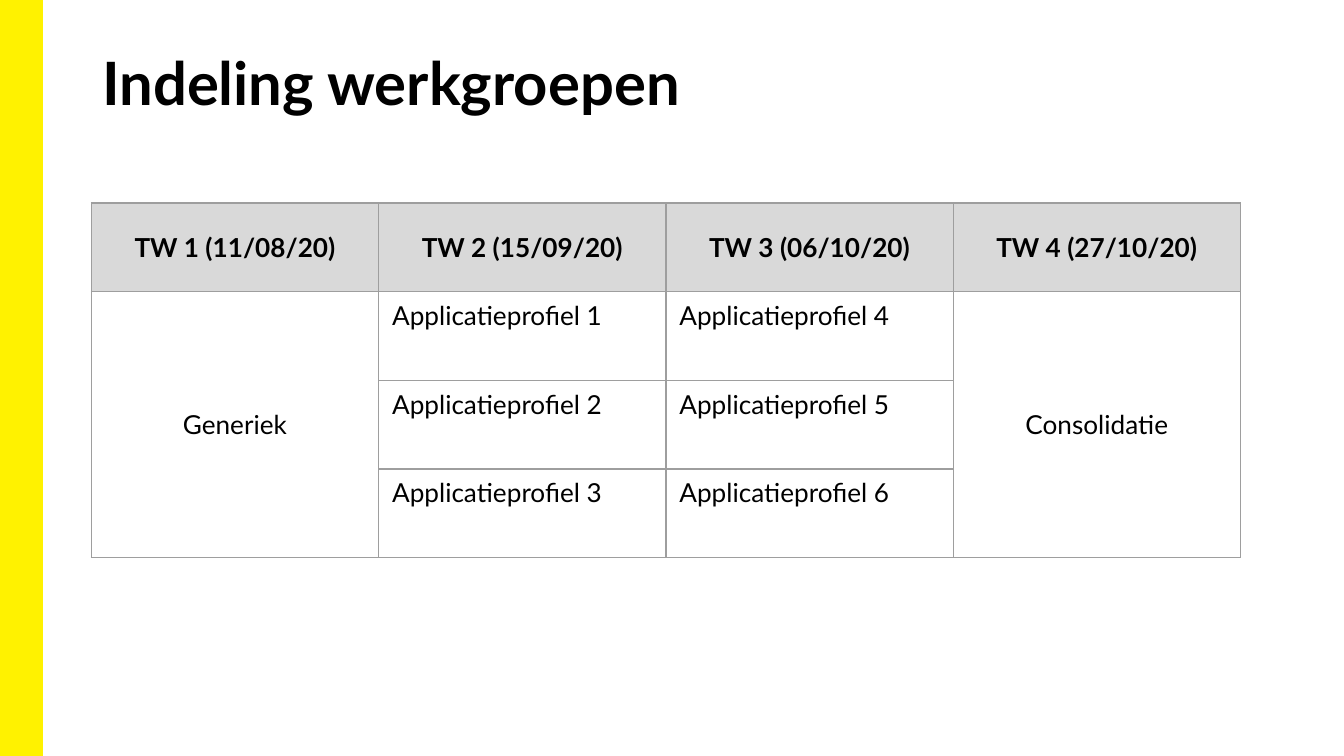
"""Build the slide that shows how the working groups are divided over four workshops."""
from typing import NamedTuple

from lxml.etree import SubElement
from pptx import Presentation
from pptx.dml.color import RGBColor
from pptx.enum.shapes import MSO_SHAPE
from pptx.enum.text import MSO_ANCHOR, PP_ALIGN
from pptx.oxml.ns import qn
from pptx.table import Table, _Cell
from pptx.util import Inches, Pt

YELLOW = RGBColor(0xFF, 0xF2, 0x00)
BLACK = RGBColor(0x00, 0x00, 0x00)
HEADER_GREY = RGBColor(0xD9, 0xD9, 0xD9)
BORDER_GREY = RGBColor(0x9E, 0x9E, 0x9E)
FONT = "Lato"
TOPIC_ROWS = 3


class Workshop(NamedTuple):
    heading: str
    topics: list[str]


WORKSHOPS = [
    Workshop("TW 1 (11/08/20)", ["Generiek"]),
    Workshop("TW 2 (15/09/20)", [f"Applicatieprofiel {n}" for n in (1, 2, 3)]),
    Workshop("TW 3 (06/10/20)", [f"Applicatieprofiel {n}" for n in (4, 5, 6)]),
    Workshop("TW 4 (27/10/20)", ["Consolidatie"]),
]


def set_borders(cell: _Cell) -> None:
    tc_pr = cell._tc.get_or_add_tcPr()
    for side in ("a:lnL", "a:lnR", "a:lnT", "a:lnB"):
        ln = SubElement(tc_pr, qn(side), w=str(Pt(0.75)))
        fill = SubElement(ln, qn("a:solidFill"))
        SubElement(fill, qn("a:srgbClr"), val=str(BORDER_GREY))


def write_cell(cell: _Cell, text: str, centered: bool, bold: bool = False) -> None:
    cell.text = text
    cell.margin_top = cell.margin_bottom = Inches(0.06)
    p = cell.text_frame.paragraphs[0]
    p.font.name, p.font.size, p.font.bold = FONT, Pt(14), bold
    p.font.color.rgb = BLACK
    if centered:
        cell.vertical_anchor = MSO_ANCHOR.MIDDLE
        p.alignment = PP_ALIGN.CENTER


def fill_column(table: Table, col: int, workshop: Workshop) -> None:
    header = table.cell(0, col)
    write_cell(header, workshop.heading, centered=True, bold=True)
    header.fill.solid()
    header.fill.fore_color.rgb = HEADER_GREY
    single = len(workshop.topics) == 1
    if single:
        table.cell(1, col).merge(table.cell(TOPIC_ROWS, col))
    for row, topic in enumerate(workshop.topics, start=1):
        write_cell(table.cell(row, col), topic, centered=single)


def main() -> None:
    prs = Presentation()
    prs.slide_width = Inches(10)
    prs.slide_height = prs.slide_width * 9 // 16
    s = prs.slides.add_slide(prs.slide_layouts[5])

    bar = s.shapes.add_shape(MSO_SHAPE.RECTANGLE, 0, 0, Inches(0.31), prs.slide_height)
    bar.shadow.inherit = False
    bar.fill.solid()
    bar.fill.fore_color.rgb = YELLOW
    bar.line.color.rgb = YELLOW
    bar.line.width = Pt(1)

    title = s.shapes.title
    title.left, title.top = Inches(0.69), Inches(0.3)
    title.width, title.height = Inches(8.62), Inches(0.81)
    tf = title.text_frame
    tf.text = "Indeling werkgroepen"
    tf.vertical_anchor = MSO_ANCHOR.TOP
    tf.margin_left = tf.margin_right = Inches(0.07)
    tf.margin_top = tf.margin_bottom = Inches(0.04)
    p = tf.paragraphs[0]
    p.alignment = PP_ALIGN.LEFT
    p.font.name, p.font.size, p.font.bold = FONT, Pt(32), True
    p.font.color.rgb = BLACK

    table = s.shapes.add_table(
        TOPIC_ROWS + 1, len(WORKSHOPS), Inches(0.68), Inches(1.51), Inches(8.55), Inches(2.64)
    ).table
    table.first_row = table.horz_banding = False
    for cell in table.iter_cells():
        set_borders(cell)
        cell.fill.background()
    for col, workshop in enumerate(WORKSHOPS):
        fill_column(table, col, workshop)

    prs.save("out.pptx")


if __name__ == "__main__":
    main()
